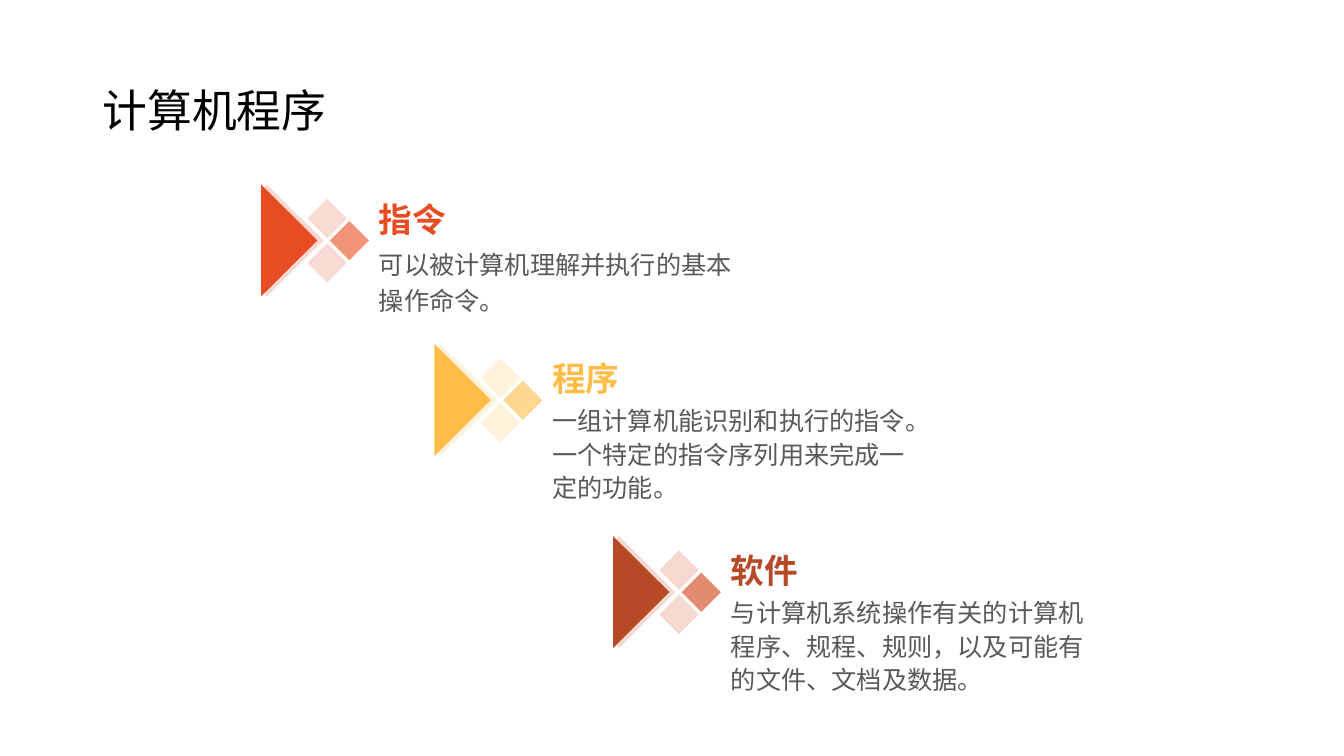
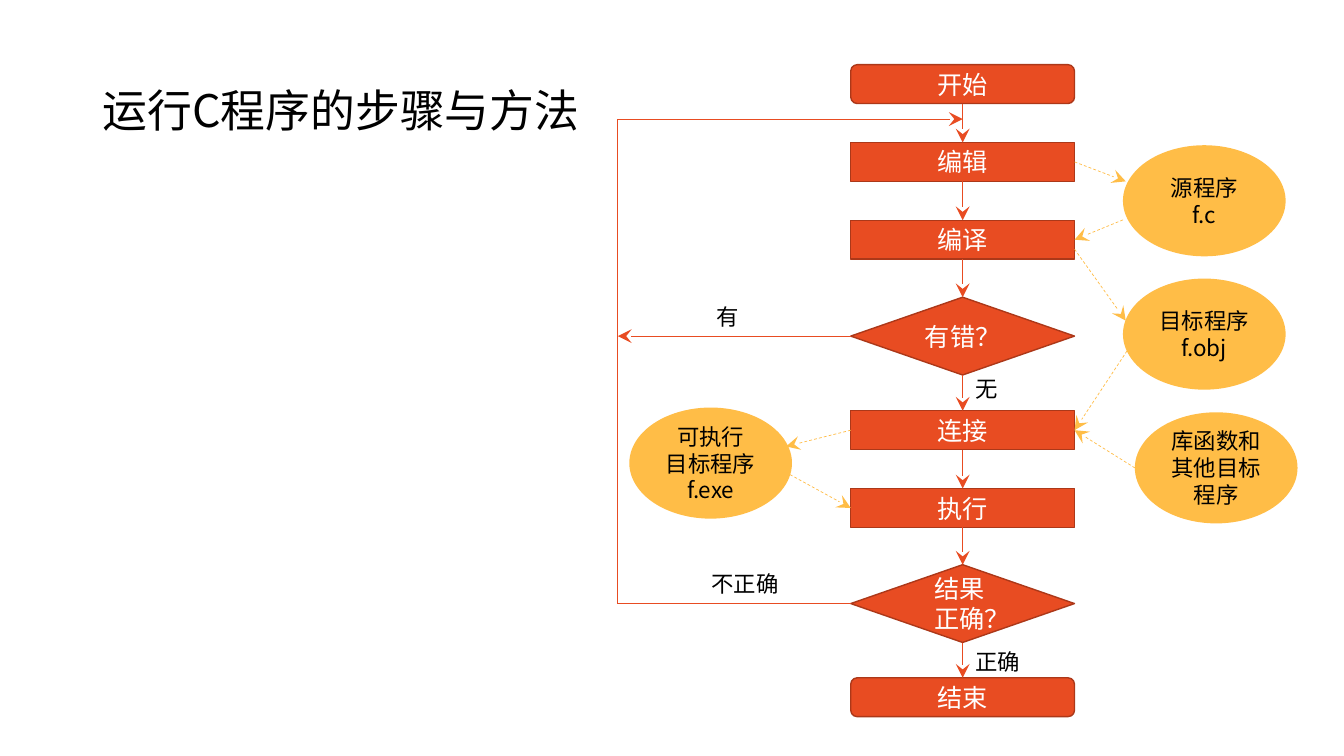
from dataclasses import dataclass
from typing import Optional

from lxml import etree
from pptx import Presentation
from pptx.dml.color import RGBColor
from pptx.enum.dml import MSO_LINE
from pptx.enum.shapes import MSO_CONNECTOR, MSO_SHAPE
from pptx.enum.text import MSO_ANCHOR, PP_ALIGN
from pptx.oxml.ns import qn
from pptx.util import Cm, Pt

LEFT, CENTER = PP_ALIGN.LEFT, PP_ALIGN.CENTER
TOP, MIDDLE, BOTTOM = MSO_ANCHOR.TOP, MSO_ANCHOR.MIDDLE, MSO_ANCHOR.BOTTOM
RECTANGLE = MSO_SHAPE.RECTANGLE
TERMINAL = MSO_SHAPE.FLOWCHART_ALTERNATE_PROCESS
DECISION = MSO_SHAPE.FLOWCHART_DECISION
SITE_TOP, SITE_LEFT, SITE_BOTTOM, SITE_RIGHT = range(4)

FONT = "Noto Sans CJK SC"
BLACK = RGBColor(0x00, 0x00, 0x00)
WHITE = RGBColor(0xFF, 0xFF, 0xFF)
GRAY = RGBColor(0x59, 0x59, 0x59)
ORANGE = RGBColor(0xE8, 0x4C, 0x22)
ORANGE_EDGE = RGBColor(0xAC, 0x38, 0x19)
ORANGE_MID = RGBColor(0xF1, 0x94, 0x7A)
ORANGE_PALE = RGBColor(0xFA, 0xDB, 0xD3)
YELLOW = RGBColor(0xFF, 0xBD, 0x47)
YELLOW_MID = RGBColor(0xFF, 0xD7, 0x91)
YELLOW_PALE = RGBColor(0xFF, 0xF2, 0xDA)
BROWN = RGBColor(0xB6, 0x49, 0x26)
BROWN_MID = RGBColor(0xE1, 0x8B, 0x6F)
BROWN_PALE = RGBColor(0xF5, 0xD8, 0xCF)


@dataclass
class Concept:
    """A term with its definition, beside an arrow motif."""
    left: float
    top: float
    term: str
    lines: list[str]
    spacing: float
    strong: RGBColor
    mid: RGBColor
    pale: RGBColor
    edge: RGBColor


@dataclass
class Step:
    """A box in the flow chart's main column."""
    text: str
    kind: MSO_SHAPE
    top: float
    height: float = 0.98


@dataclass
class File:
    """An ellipse for a file that a step reads or writes."""
    lines: list[str]
    left: float
    top: float


@dataclass
class Link:
    """An arrow; a named step and site replace that end's point."""
    start: tuple[float, float]
    end: tuple[float, float]
    begin_step: Optional[str] = None
    end_step: Optional[str] = None
    site: int = SITE_RIGHT


CONCEPTS = [
    Concept(6.58, 4.65, "指令", ["可以被计算机理解并执行的基本操作命令。"], 1.2,
            ORANGE, ORANGE_MID, ORANGE_PALE, BROWN_PALE),
    Concept(10.95, 8.67, "程序",
            ["一组计算机能识别和执行的指令。", "一个特定的指令序列用来完成一定的功能。"], 1.1,
            YELLOW, YELLOW_MID, YELLOW_PALE, YELLOW_PALE),
    Concept(15.45, 13.51, "软件",
            ["与计算机系统操作有关的计算机程序、规程、规则，以及可能有的文件、文档及数据。"], 1.1,
            BROWN, BROWN_MID, BROWN_PALE, BROWN_PALE),
]
ARROW = [(0, 0), (1.42, 1.41), (0, 2.82)]
ARROW_EDGE = [(0.15, 0), (1.57, 1.41), (0.15, 2.82), (0.08, 2.74), (1.42, 1.41), (0.08, 0.08)]

COLUMN_CENTER, STEP_WIDTH = 24.26, 5.64
STEPS = [
    Step("开始", TERMINAL, 1.63),
    Step("编辑", RECTANGLE, 3.59),
    Step("编译", RECTANGLE, 5.55),
    Step("有错？", DECISION, 7.49, 1.96),
    Step("连接", RECTANGLE, 10.35),
    Step("执行", RECTANGLE, 12.31),
    Step("结果\n正确？", DECISION, 14.23, 1.96),
    Step("结束", TERMINAL, 17.08),
]
FILES = [
    File(["可执行", "目标程序", "f.exe"], 15.86, 10.27),
    File(["源程序", "f.c"], 28.3, 3.66),
    File(["目标程序", "f.obj"], 28.3, 7.02),
    File(["库函数和其他目标程序"], 28.6, 10.39),
]
FILE_LINKS = [
    Link((27.08, 4.08), (28.37, 4.57), begin_step="编辑"),
    Link((28.3, 5.54), (27.08, 6.04), end_step="编译"),
    Link((27.08, 6.28), (28.37, 8.08)),
    Link((28.47, 8.74), (27.08, 10.84), end_step="连接"),
    Link((28.6, 11.79), (27.08, 10.84), end_step="连接"),
    Link((21.44, 10.84), (19.81, 11.25), begin_step="连接", site=SITE_LEFT),
    Link((19.91, 11.96), (21.44, 12.8), end_step="执行", site=SITE_LEFT),
]
BRANCH_LABELS = [
    ("无", 24.33, 9.32, 1.47),
    ("正确", 24.33, 16.21, 1.88),
    ("有", 17.81, 7.52, 1.47),
    ("不正确", 17.68, 14.25, 3.25),
]
LOOP_LEFT, LOOP_TOP = 15.57, 3.0


def write(shape, lines: list[str], size: int, color: RGBColor, align=LEFT,
          anchor=TOP, bold: bool = False, spacing: float = 1.0) -> None:
    """Fill a shape with one formatted paragraph per line."""
    frame = shape.text_frame
    frame.word_wrap = True
    frame.vertical_anchor = anchor
    frame.text = "\n".join(lines)
    for para in frame.paragraphs:
        para.alignment = align
        para.line_spacing = spacing
        font = para.font
        font.name, font.size, font.bold = FONT, Pt(size), bold
        font.color.rgb = color
        defaults = para._p.pPr.find(qn("a:defRPr"))
        etree.SubElement(defaults, qn("a:ea"), typeface=FONT)


def paint(shape, fill: RGBColor, edge: Optional[RGBColor] = None) -> None:
    shape.shadow.inherit = False
    shape.fill.solid()
    shape.fill.fore_color.rgb = fill
    if edge is None:
        shape.line.fill.background()
    else:
        shape.line.color.rgb = edge
        shape.line.width = Pt(1)


def add_shape(page, kind, left: float, top: float, width: float, height: float,
              fill: RGBColor, edge: Optional[RGBColor] = None):
    shape = page.shapes.add_shape(kind, Cm(left), Cm(top), Cm(width), Cm(height))
    paint(shape, fill, edge)
    return shape


def add_text(page, left: float, top: float, width: float, height: float,
             lines: list[str], size: int, color: RGBColor, **style) -> None:
    box = page.shapes.add_textbox(Cm(left), Cm(top), Cm(width), Cm(height))
    write(box, lines, size, color, **style)


def add_outline(page, left: float, top: float, points, fill: RGBColor) -> None:
    corners = [(Cm(left + x), Cm(top + y)) for x, y in points]
    builder = page.shapes.build_freeform(*corners[0])
    builder.add_line_segments(corners[1:], close=True)
    paint(builder.convert_to_shape(), fill)


def add_line(page, start: tuple[float, float], end: tuple[float, float],
             color: RGBColor = ORANGE, arrow: bool = True, dashed: bool = False):
    line = page.shapes.add_connector(
        MSO_CONNECTOR.STRAIGHT, Cm(start[0]), Cm(start[1]), Cm(end[0]), Cm(end[1]))
    line.line.color.rgb = color
    line.line.width = Pt(0.5)
    if dashed:
        line.line.dash_style = MSO_LINE.DASH
    if arrow:
        etree.SubElement(line.line._get_or_add_ln(), qn("a:tailEnd"),
                         type="stealth", w="lg", len="lg")
    etree.SubElement(line._element.spPr, qn("a:effectLst"))
    return line


def add_page(deck, title: str):
    """Add a page with the shared title style."""
    page = deck.slides.add_slide(deck.slide_layouts[5])
    box = page.shapes.title
    box.left, box.top, box.width, box.height = Cm(2.33), Cm(1.01), Cm(29.21), Cm(3.68)
    write(box, [title], 32, BLACK, anchor=MIDDLE, spacing=0.9)
    return page


def draw_concept(page, item: Concept) -> None:
    for x, y, color in [(1.17, 0.36, item.pale), (1.17, 1.48, item.pale), (1.73, 0.92, item.mid)]:
        add_shape(page, MSO_SHAPE.DIAMOND, item.left + x, item.top + y, 0.99, 0.99, color)
    add_outline(page, item.left, item.top, ARROW_EDGE, item.edge)
    add_outline(page, item.left, item.top, ARROW, item.strong)
    text_left = item.left + 2.72
    add_text(page, text_left, item.top + 1.35, 9.73, 2.9, item.lines, 18, GRAY,
             spacing=item.spacing)
    add_text(page, text_left, item.top, 9.73, 1.5, [item.term], 24, item.strong,
             anchor=BOTTOM, bold=True)


def draw_flow(page) -> None:
    # Main column
    boxes = {}
    for step in STEPS:
        box = add_shape(page, step.kind, COLUMN_CENTER - STEP_WIDTH / 2, step.top,
                        STEP_WIDTH, step.height, ORANGE, ORANGE_EDGE)
        lines = step.text.split("\n")
        write(box, lines, 18, WHITE, CENTER if len(lines) == 1 else LEFT, MIDDLE)
        if len(lines) > 1:
            box.text_frame.margin_left, box.text_frame.margin_right = Cm(0.69), 0
        boxes[step.text] = box
    for upper, lower in zip(STEPS, STEPS[1:]):
        line = add_line(page, (COLUMN_CENTER, upper.top + upper.height),
                        (COLUMN_CENTER, lower.top))
        line.begin_connect(boxes[upper.text], SITE_BOTTOM)
        line.end_connect(boxes[lower.text], SITE_TOP)

    # Loop back to editing
    for step in [step for step in STEPS if step.kind == DECISION]:
        middle = step.top + step.height / 2
        line = add_line(page, (COLUMN_CENTER - STEP_WIDTH / 2, middle), (LOOP_LEFT, middle),
                        arrow=step.text == "有错？")
        line.begin_connect(boxes[step.text], SITE_LEFT)
    add_line(page, (LOOP_LEFT, LOOP_TOP), (LOOP_LEFT, middle), arrow=False)
    add_line(page, (LOOP_LEFT, LOOP_TOP), (COLUMN_CENTER, LOOP_TOP))
    for text, left, top, width in BRANCH_LABELS:
        add_text(page, left, top, width, 0.94, [text], 16, BLACK)

    # Files and their links
    for item in FILES:
        ellipse = add_shape(page, MSO_SHAPE.OVAL, item.left, item.top, 4.1, 2.8, YELLOW)
        write(ellipse, item.lines, 16, BLACK, CENTER, MIDDLE)
    for link in FILE_LINKS:
        line = add_line(page, link.start, link.end, YELLOW, dashed=True)
        if link.begin_step:
            line.begin_connect(boxes[link.begin_step], link.site)
        if link.end_step:
            line.end_connect(boxes[link.end_step], link.site)


def main() -> None:
    deck = Presentation()
    deck.slide_width, deck.slide_height = Cm(33.87), Cm(19.05)

    concepts_page = add_page(deck, "计算机程序")
    for item in CONCEPTS:
        draw_concept(concepts_page, item)

    draw_flow(add_page(deck, "运行C程序的步骤与方法"))
    deck.save("out.pptx")


if __name__ == "__main__":
    main()
